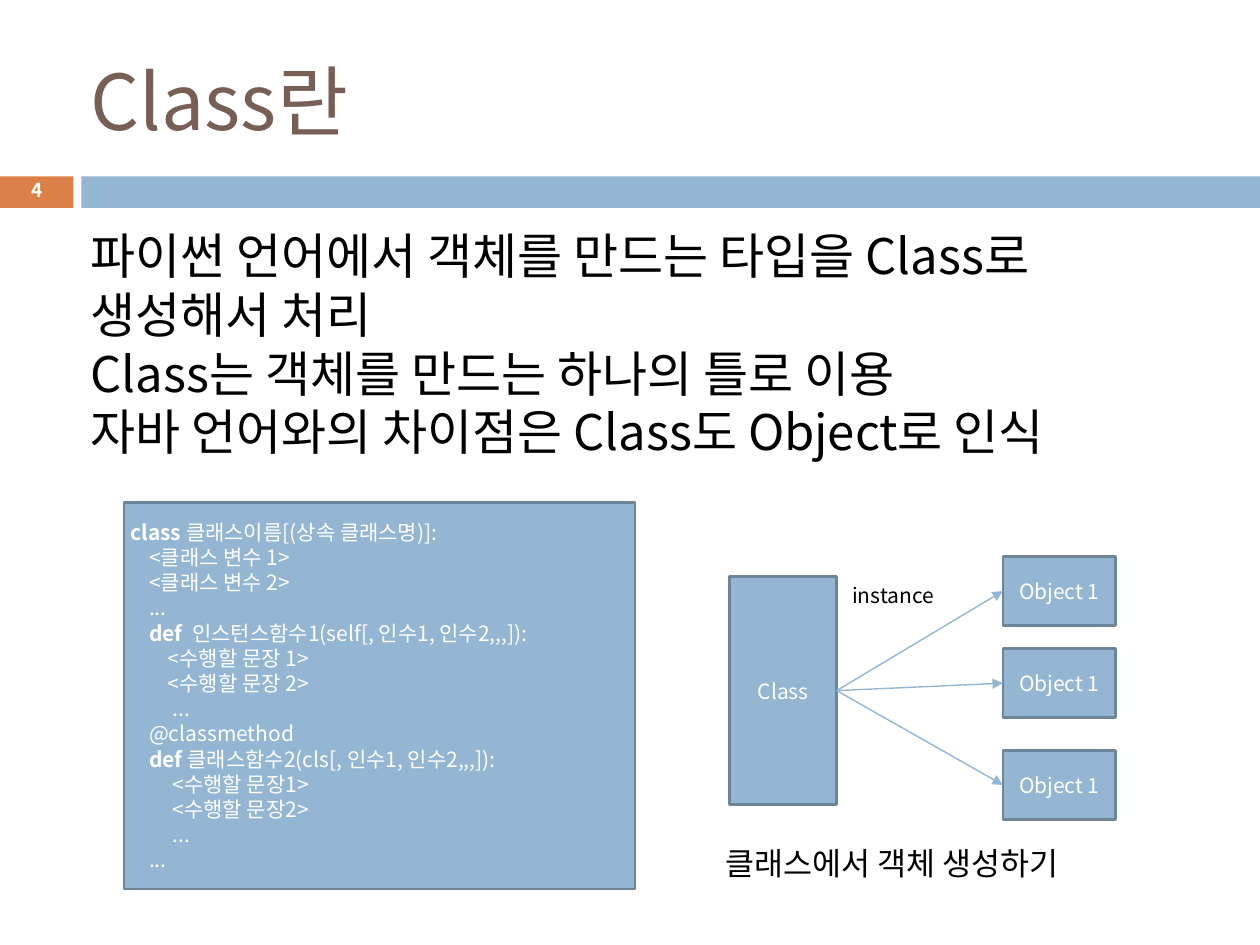
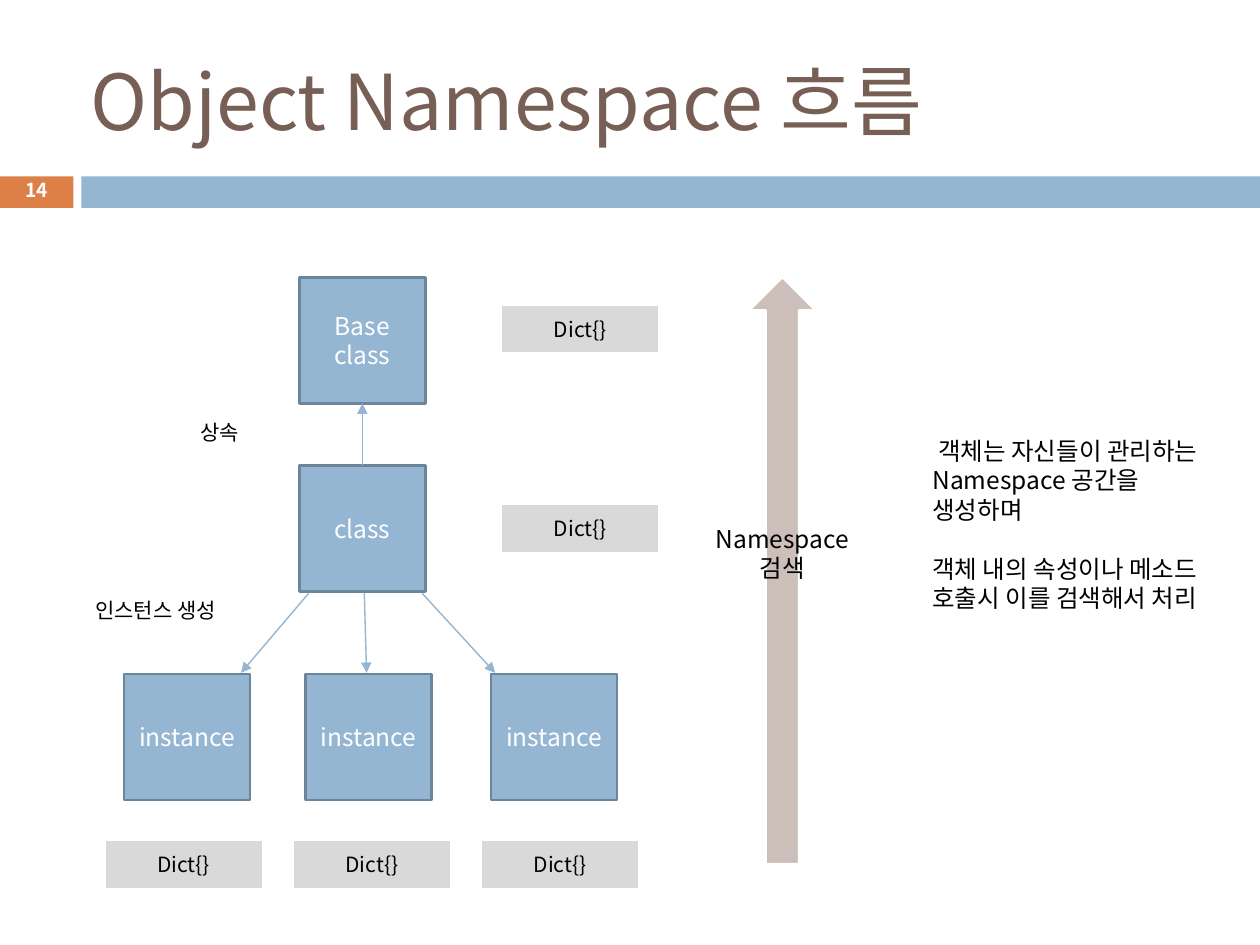
from dataclasses import dataclass

from lxml import etree
from pptx import Presentation
from pptx.dml.color import RGBColor
from pptx.enum.shapes import MSO_CONNECTOR, MSO_SHAPE
from pptx.enum.text import MSO_ANCHOR, MSO_AUTO_SIZE, PP_ALIGN
from pptx.oxml.ns import qn
from pptx.util import Pt

RECT, UP_ARROW = MSO_SHAPE.RECTANGLE, MSO_SHAPE.UP_ARROW
STRAIGHT = MSO_CONNECTOR.STRAIGHT
LEFT, CENTER = PP_ALIGN.LEFT, PP_ALIGN.CENTER
TOP, MIDDLE = MSO_ANCHOR.TOP, MSO_ANCHOR.MIDDLE
TOP_SITE, LEFT_SITE, BOTTOM_SITE, RIGHT_SITE = range(4)

FONT = "Noto Sans CJK KR"
INSET = 3.6
COLORS = {
    "blue": "94B6D2",
    "edge": "6C8599",
    "orange": "DD8047",
    "brown": "775F55",
    "arrow": "CCBEB8",
    "gray": "D9D9D9",
    "white": "FFFFFF",
    "black": "000000",
}


@dataclass(frozen=True)
class Box:
    left: float
    top: float
    width: float
    height: float

    def emu(self) -> tuple:
        return Pt(self.left), Pt(self.top), Pt(self.width), Pt(self.height)


@dataclass(frozen=True)
class Style:
    fill: str
    line: str | None = None
    text: str = "white"


NODE = Style("blue", "edge")
DICT = Style("gray", "white", "black")
ARROW = Style("arrow", "white")

NUMBER_BAND = Box(0, 100.8, 42, 18)
WIDE_BAND = Box(46.5, 100.8, 673.5, 18)
TITLE = Box(48.2, 18, 642, 78)

CODE = [
    ("class ", "클래스이름[(상속 클래스명)]:"),
    ("", "    <클래스 변수 1>"),
    ("", "    <클래스 변수 2>"),
    ("", "    ..."),
    ("    def", "  인스턴스함수1(self[, 인수1, 인수2,,,]):"),
    ("", "        <수행할 문장 1>"),
    ("", "        <수행할 문장 2>"),
    ("", "         ..."),
    ("", "    @classmethod"),
    ("    def", " 클래스함수2(cls[, 인수1, 인수2,,,]):"),
    ("", "         <수행할 문장1>"),
    ("", "         <수행할 문장2>"),
    ("", "         ..."),
    ("", "    ..."),
]


def rgb(name: str) -> RGBColor:
    return RGBColor.from_string(COLORS[name])


def write(tf, lines, *, size=12, color="black", bold=False, align=LEFT,
          anchor=TOP, spacing=None, gap=0, first_indent=0) -> None:
    """Fill a frame; a line is a string or a pair of bold and plain text."""
    tf.word_wrap = True
    tf.auto_size = MSO_AUTO_SIZE.NONE
    tf.vertical_anchor = anchor
    tf.margin_left = tf.margin_right = Pt(INSET)
    tf.margin_top = tf.margin_bottom = Pt(INSET)
    for i, line in enumerate(lines):
        p = tf.add_paragraph() if i else tf.paragraphs[0]
        p.alignment = align
        if spacing:
            p.line_spacing = spacing
        if i and gap:
            p.space_before = Pt(gap)
        if not i and first_indent:
            p._p.get_or_add_pPr().set("indent", str(Pt(first_indent)))
        parts = [(line, bold)] if isinstance(line, str) else [
            (line[0], True), (line[1], False)]
        for text, is_bold in parts:
            if not text:
                continue
            r = p.add_run()
            r.text = text
            r.font.size = Pt(size)
            r.font.bold = is_bold
            r.font.name = FONT
            r.font.color.rgb = rgb(color)
            etree.SubElement(r._r.rPr, qn("a:ea")).set("typeface", FONT)


def add_text(slide, box: Box, *lines, **fmt) -> None:
    write(slide.shapes.add_textbox(*box.emu()).text_frame, lines, **fmt)


def add_block(slide, box: Box, style: Style, *lines, kind=RECT, **fmt):
    sp = slide.shapes.add_shape(kind, *box.emu())
    sp.shadow.inherit = False
    sp.fill.solid()
    sp.fill.fore_color.rgb = rgb(style.fill)
    if style.line:
        sp.line.color.rgb = rgb(style.line)
        sp.line.width = Pt(1.5)
    else:
        sp.line.fill.background()
    if lines:
        write(sp.text_frame, lines,
              **{"color": style.text, "align": CENTER, "anchor": MIDDLE, **fmt})
    return sp


def add_arrow(slide, start=(0, 0), end=(0, 0)):
    line = slide.shapes.add_connector(STRAIGHT, *map(Pt, (*start, *end)))
    line.line.color.rgb = rgb("blue")
    line.line.width = Pt(0.79)
    ln = line.line._get_or_add_ln()
    etree.SubElement(ln, qn("a:tailEnd")).set("type", "triangle")
    etree.SubElement(line._element.spPr, qn("a:effectLst"))
    return line


def link(slide, source, source_site: int, target, target_site: int) -> None:
    line = add_arrow(slide)
    line.begin_connect(source, source_site)
    line.end_connect(target, target_site)


def add_slide(prs, title: str, number: int):
    """Add a slide with its title, the two bands and the page number."""
    slide = prs.slides.add_slide(prs.slide_layouts[5])
    sp = slide.shapes.title
    sp.left, sp.top, sp.width, sp.height = TITLE.emu()
    write(sp.text_frame, [title], size=44, color="brown", anchor=MIDDLE)
    add_block(slide, NUMBER_BAND, Style("orange"), str(number),
              size=11, bold=True, spacing=0.8)
    add_block(slide, WIDE_BAND, Style("blue"))
    return slide


def build_class_slide(prs) -> None:
    slide = add_slide(prs, "Class란", 4)
    add_text(slide, Box(48.2, 125.3, 629.3, 143.3),
             "파이썬 언어에서 객체를 만드는 타입을 Class로 생성해서 처리",
             "Class는 객체를 만드는 하나의 틀로 이용",
             "자바 언어와의 차이점은 Class도 Object로 인식", size=28)
    add_block(slide, Box(70.9, 287.1, 292, 221), NODE, *CODE, align=LEFT)
    cls = add_block(slide, Box(416.9, 329.5, 61.2, 130.3), NODE, "Class")
    for top in (318, 370.6, 428.7):
        obj = add_block(slide, Box(573.1, top, 64.5, 39.6), NODE, "Object 1")
        link(slide, cls, RIGHT_SITE, obj, LEFT_SITE)
    add_text(slide, Box(483.4, 329.4, 75, 21.6), "instance")
    add_text(slide, Box(411.1, 478.8, 226.8, 28.8),
             "클래스에서 객체 생성하기", size=18)


def build_namespace_slide(prs) -> None:
    slide = add_slide(prs, "Object Namespace 흐름", 14)
    side = 72
    base, cls = (
        add_block(slide, Box(171.1, top, side, side), NODE, name, size=14)
        for name, top in (("Base class", 158.5), ("class", 266)))
    link(slide, cls, TOP_SITE, base, BOTTOM_SITE)

    for left in (70.9, 174.7, 280.6):
        add_block(slide, Box(left, 385.2, side, side), NODE, "instance", size=14)
    for start_x, end_x in ((176.4, 137.7), (208.2, 209.5), (241.2, 283)):
        add_arrow(slide, (start_x, 339), (end_x, 384.5))

    dict_spots = [(286.3, 173.9), (286.3, 288)]
    dict_spots += [(59.6 + 107.6 * i, 480) for i in range(3)]
    for left, top in dict_spots:
        add_block(slide, Box(left, top, 90.7, 28), DICT, "Dict{}")

    add_text(slide, Box(95.3, 236.2, 60.5, 22.3), "상속", align=CENTER)
    add_text(slide, Box(37.1, 337.7, 103.7, 22.3), "인스턴스 생성", align=CENTER)

    add_block(slide, Box(428, 158.3, 38.2, 335.5), ARROW, kind=UP_ARROW)
    add_text(slide, Box(393.1, 295.9, 108, 41), "Namespace", "검색",
             size=14, align=CENTER)
    add_text(slide, Box(529.2, 245.5, 164, 126),
             "객체는 자신들이 관리하는 Namespace 공간을 생성하며",
             "객체 내의 속성이나 메소드 호출시 이를 검색해서 처리",
             size=14, gap=17, first_indent=3.3)


def main() -> None:
    prs = Presentation()
    prs.slide_width, prs.slide_height = Pt(720), Pt(540)
    build_class_slide(prs)
    build_namespace_slide(prs)
    prs.save("out.pptx")


if __name__ == "__main__":
    main()
